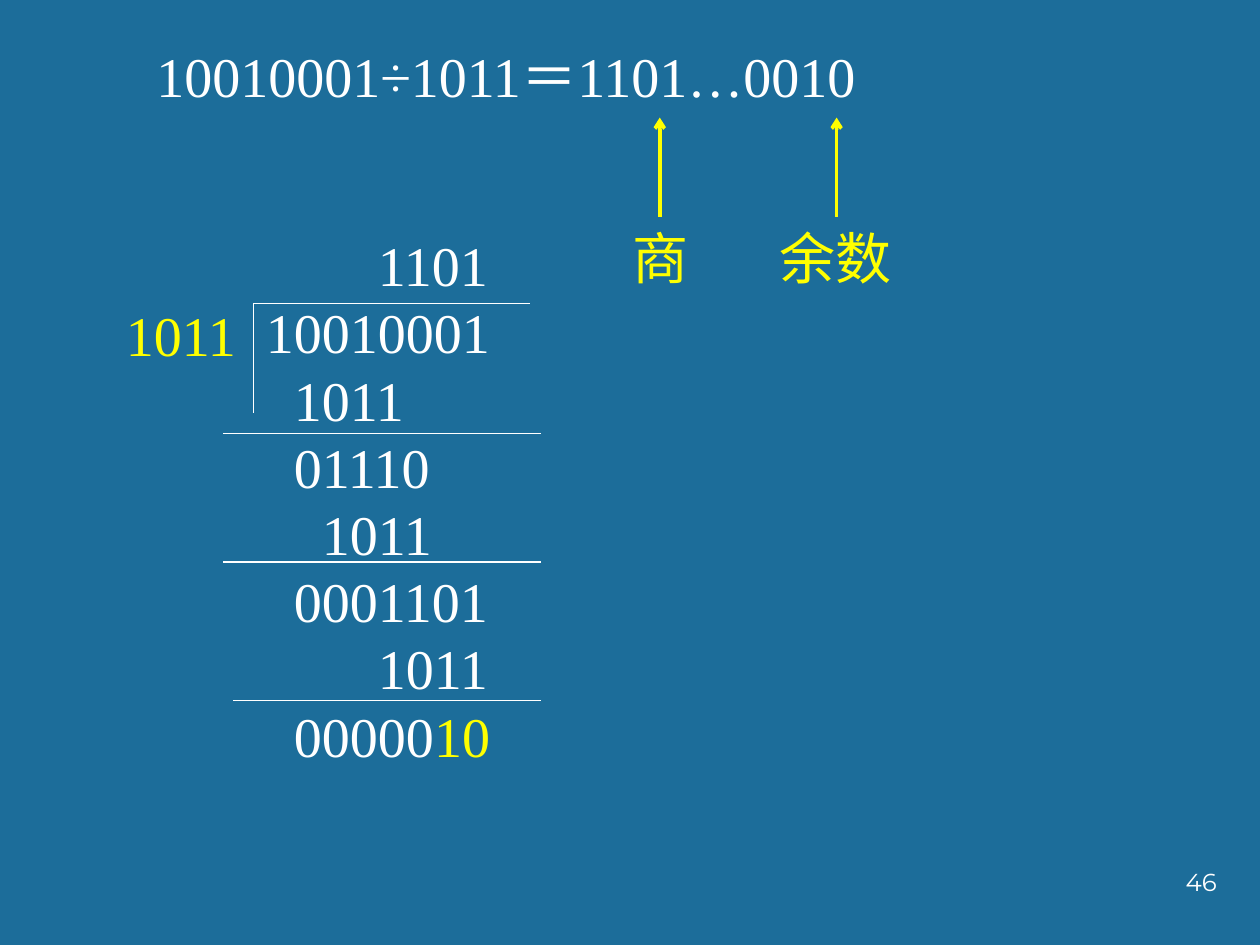
from dataclasses import dataclass
from lxml.etree import SubElement
from pptx import Presentation
from pptx.dml.color import RGBColor
from pptx.enum.shapes import MSO_CONNECTOR
from pptx.enum.text import MSO_ANCHOR, MSO_AUTO_SIZE, PP_ALIGN
from pptx.oxml.ns import qn
from pptx.util import Cm, Pt


@dataclass(frozen=True)
class Theme:
    back: RGBColor = RGBColor(0x1C, 0x6D, 0x9A)
    text: RGBColor = RGBColor(0xFF, 0xFF, 0xFF)
    mark: RGBColor = RGBColor(0xFF, 0xFF, 0x00)
    serif: str = "Times New Roman"
    han: str = "Noto Sans CJK SC"
    sans: str = "Montserrat"
    size: float = 32
    small: float = 14
    pitch: float = 38.4   # line spacing of the figures
    thin: float = 0.75
    bold: float = 2


T = Theme()
DIGIT = Pt(T.size / 2)    # a Times figure is half an em wide


def assign(obj, values):
    for name, value in values.items():
        setattr(obj, name, value)


def place(shape, box):
    names = ("left", "top", "width", "height")
    assign(shape, dict(zip(names, map(Cm, box))))


def frame(shape, wrap=False):
    assign(shape.text_frame, dict(
        word_wrap=wrap, auto_size=MSO_AUTO_SIZE.NONE,
        vertical_anchor=MSO_ANCHOR.TOP, margin_left=Cm(0.25),
        margin_right=Cm(0.25), margin_top=Cm(0.13), margin_bottom=Cm(0.13)))
    return shape.text_frame


def write(para, text, color=T.text, face=T.serif, size=T.size):
    run = para.add_run()
    run.text = text
    assign(run.font, dict(name=face, size=Pt(size), bold=False))
    run.font.color.rgb = color
    east = SubElement(run.font._element, qn("a:ea"))
    east.set("typeface", T.han)


def label(slide, box, text, color, face=T.serif):
    para = frame(slide.shapes.add_textbox(*map(Cm, box))).paragraphs[0]
    para.line_spacing = Pt(T.pitch)
    write(para, text, color, face)


def rule(slide, start, end, color=T.text, width=T.thin, arrow=False):
    line = slide.shapes.add_connector(
        MSO_CONNECTOR.STRAIGHT, *map(Cm, (*start, *end)))
    line.line.color.rgb = color
    line.line.width = Pt(width)
    if arrow:
        SubElement(line.line._get_or_add_ln(), qn("a:tailEnd"), type="arrow")
    SubElement(line._element.spPr, qn("a:effectLst"))


# Equation heading
def heading(slide, box):
    title = slide.shapes.title
    place(title, box)
    para = frame(title).paragraphs[0]
    para.alignment = PP_ALIGN.LEFT
    write(para, "10010001÷1011＝1101…0010")


# Arrow from a caption up to its part of the equation
def caption(slide, box, text):
    x, y, w, h = box
    label(slide, box, text, T.mark, T.han)
    mid = x + w / 2
    rule(slide, (mid, y), (mid, y - 2), T.mark, T.bold, True)


# Long division: rows of figures, each indented by whole digits
def division(slide, box):
    x, y, w, h = box
    rows = [(4, "1101"), (0, "10010001"), (1, "1011"), (1, "01110"),
            (2, "1011"), (1, "0001101"), (4, "1011"), (1, "00000")]
    body = frame(slide.shapes.add_textbox(*map(Cm, box)))
    for i, (shift, text) in enumerate(rows):
        para = body.add_paragraph() if i else body.paragraphs[0]
        para.line_spacing = Pt(T.pitch)
        para._p.get_or_add_pPr().set("marL", str(shift * DIGIT))
        write(para, text)
    write(para, "10", T.mark)  # remainder ends the last row

    label(slide, (x - 2.82, y + 1.4, 2.77, h / 7), "1011", T.mark)
    # Bracket
    rule(slide, (x, y + 1.6), (x + 5.58, y + 1.6))
    rule(slide, (x, y + 1.6), (x, y + 3.81))
    # Subtraction lines
    for left, drop in ((0.61, 4.22), (0.61, 6.81), (0.41, 9.6)):
        rule(slide, (x - left, y + drop), (x + 5.79, y + drop))


# Page number
def folio(slide, box):
    body = frame(slide.shapes.add_textbox(*map(Cm, box)), wrap=True)
    para = body.paragraphs[0]
    para.alignment = PP_ALIGN.RIGHT
    write(para, "46", face=T.sans, size=T.small)


def main():
    deck = Presentation()
    assign(deck, dict(slide_width=Cm(25.4), slide_height=Cm(19.05)))
    slide = deck.slides.add_slide(deck.slide_layouts[5])
    slide.background.fill.solid()
    slide.background.fill.fore_color.rgb = T.back
    heading(slide, (2.9, 0.71, 15.19, 1.6))
    division(slide, (5.11, 4.52, 5.08, 11.2))
    caption(slide, (12.5, 4.37, 1.6, 1.63), "商")
    caption(slide, (15.47, 4.37, 2.79, 1.63), "余数")
    folio(slide, (19.5, 17.35, 5.28, 1.27))
    deck.save("out.pptx")


if __name__ == "__main__":
    main()
